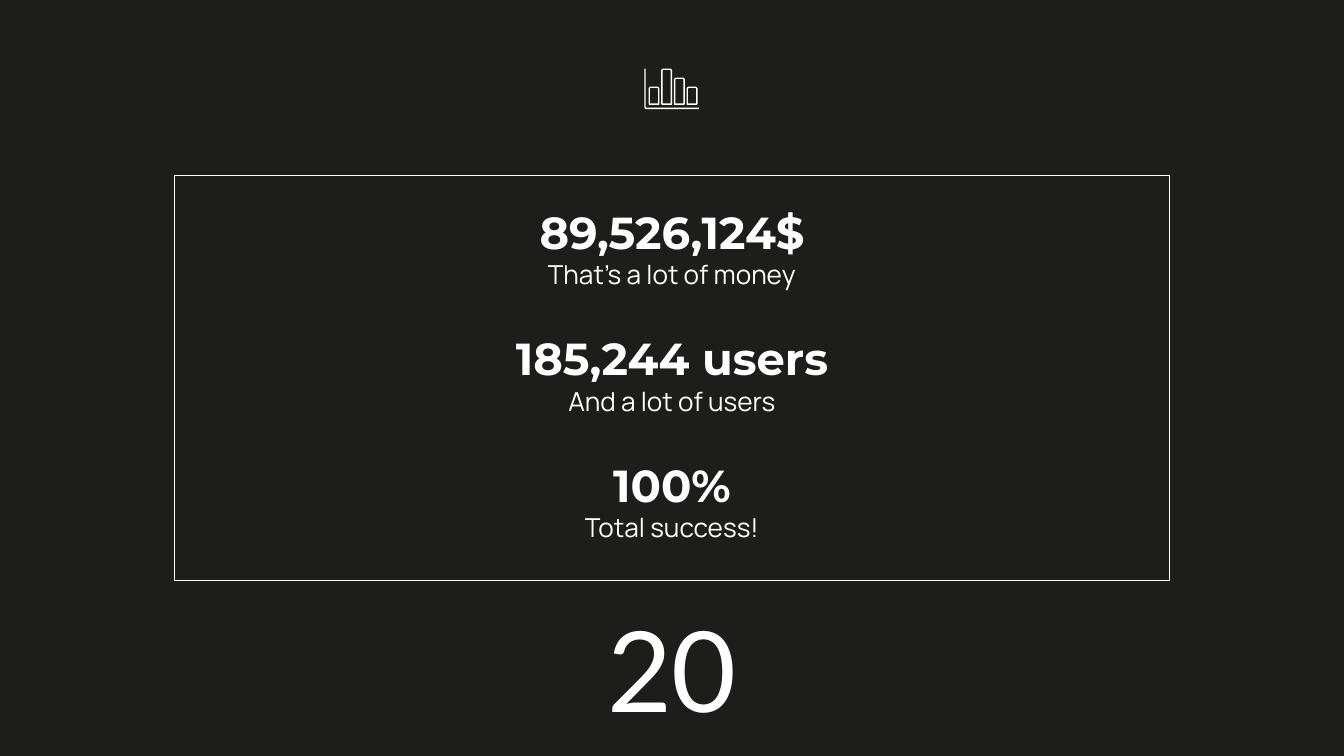
"""Build a slide of three big numbers in a frame under a bar chart icon."""
from pptx import Presentation
from pptx import util as u
from pptx.dml.color import RGBColor
from pptx.enum import shapes, text

Cm, Pt = u.Cm, u.Pt
WHITE, DARK = "FFFFFF", "1D1D1B"
LEFT, WIDTH = 3.3, 18.8
FIGURES = [
    ("89,526,124$", "That’s a lot of money"),
    ("185,244 users", "And a lot of users"),
    ("100%", "Total success!"),
]
NUMBER = "20"
FIGURE_TOP, CAPTION_TOP, FIGURE_STEP = 2.64, 4.55, 2.39
AXES = [(12.19, 1.3), (12.19, 2.03), (12.21, 2.05), (13.21, 2.05)]
BAR_TOPS = [1.65, 1.31, 1.48, 1.65]
BAR_LEFT, BAR_STEP, BAR_WIDTH, BAR_BASE, BEVEL = 12.27, 0.24, 0.18, 1.97, 0.02


def colour(value):
    return RGBColor.from_string(value)


def outline(shape):
    shape.shadow.inherit = False
    shape.fill.background()
    shape.line.color.rgb = colour(WHITE)
    shape.line.width = Pt(0.75)


def add_text(page, words, top, height, font, size, anchor, bold=False):
    box = page.shapes.add_textbox(Cm(LEFT), Cm(top), Cm(WIDTH), Cm(height))
    frame = box.text_frame
    frame.word_wrap = True
    frame.vertical_anchor = anchor
    frame.margin_left = frame.margin_right = Cm(0.25)
    frame.margin_top = frame.margin_bottom = Cm(0.25)
    para = frame.paragraphs[0]
    para.alignment = text.PP_ALIGN.CENTER
    span = para.add_run()
    span.text = words
    span.font.name, span.font.size, span.font.bold = font, Pt(size), bold
    span.font.color.rgb = colour(WHITE)
    return para


def add_path(group, points, close):
    first, *rest = [(Cm(x), Cm(y)) for x, y in points]
    builder = group.shapes.build_freeform(*first)
    builder.add_line_segments(rest, close=close)
    outline(builder.convert_to_shape())


def add_icon(page):
    icon = page.shapes.add_group_shape()
    add_path(icon, AXES, False)
    for index, top in enumerate(BAR_TOPS):
        left = BAR_LEFT + index * BAR_STEP
        right = left + BAR_WIDTH
        add_path(icon, [
            (right, BAR_BASE), (right, top + BEVEL), (right - BEVEL, top),
            (left + BEVEL, top), (left, top + BEVEL), (left, BAR_BASE),
        ], True)


def main():
    deck = Presentation()
    deck.slide_width, deck.slide_height = Cm(25.4), Cm(14.29)
    page = deck.slides.add_slide(deck.slide_layouts[6])
    page.background.fill.solid()
    page.background.fill.fore_color.rgb = colour(DARK)

    outline(page.shapes.add_shape(shapes.MSO_SHAPE.RECTANGLE,
                                  Cm(LEFT), Cm(3.32), Cm(WIDTH), Cm(7.65)))
    for index, (figure, caption) in enumerate(FIGURES):
        shift = index * FIGURE_STEP
        add_text(page, figure, FIGURE_TOP + shift, 2.49, "Montserrat", 24,
                 text.MSO_ANCHOR.BOTTOM, bold=True)
        para = add_text(page, caption, CAPTION_TOP + shift, 1.3, "Manrope", 14,
                        text.MSO_ANCHOR.TOP)
        para.line_spacing, para.space_before = 1.15, Pt(6)
    add_text(page, NUMBER, 10.97, 3.32, "Lato", 60, text.MSO_ANCHOR.MIDDLE)
    add_icon(page)
    deck.save("out.pptx")


if __name__ == "__main__":
    main()
